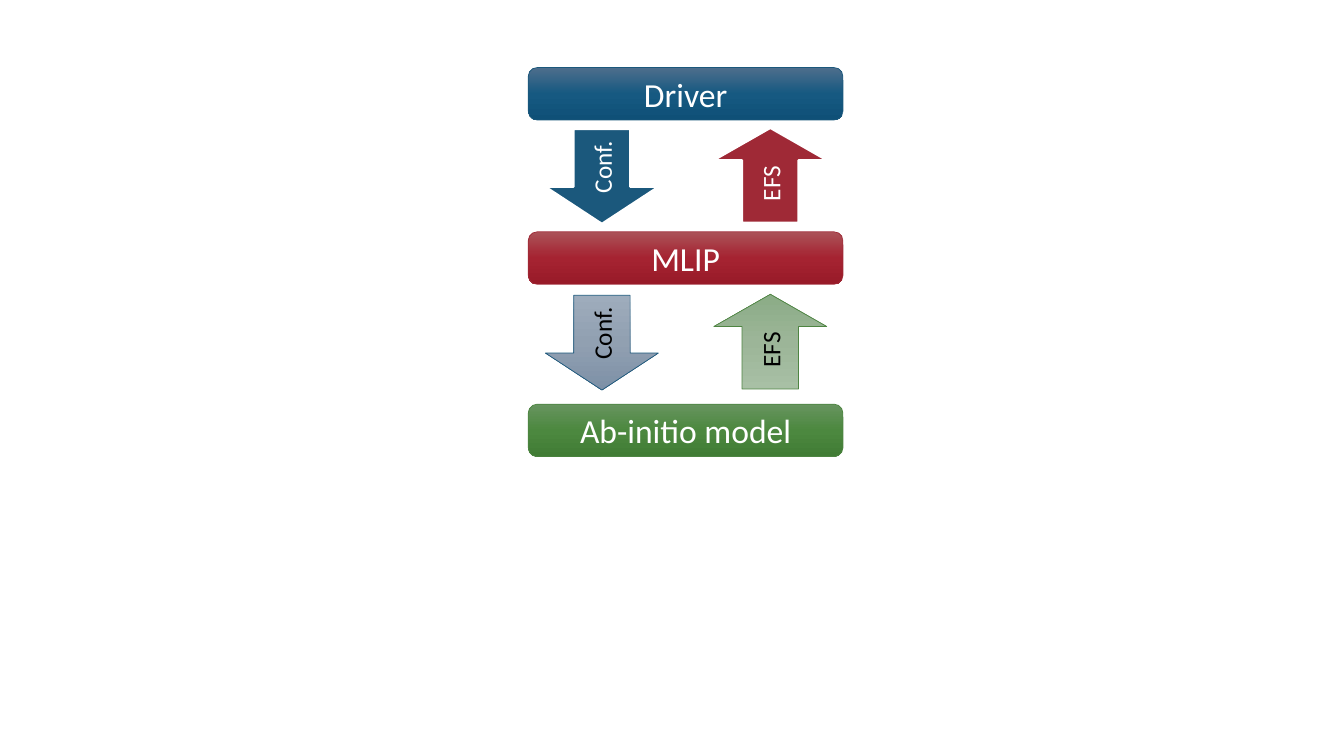
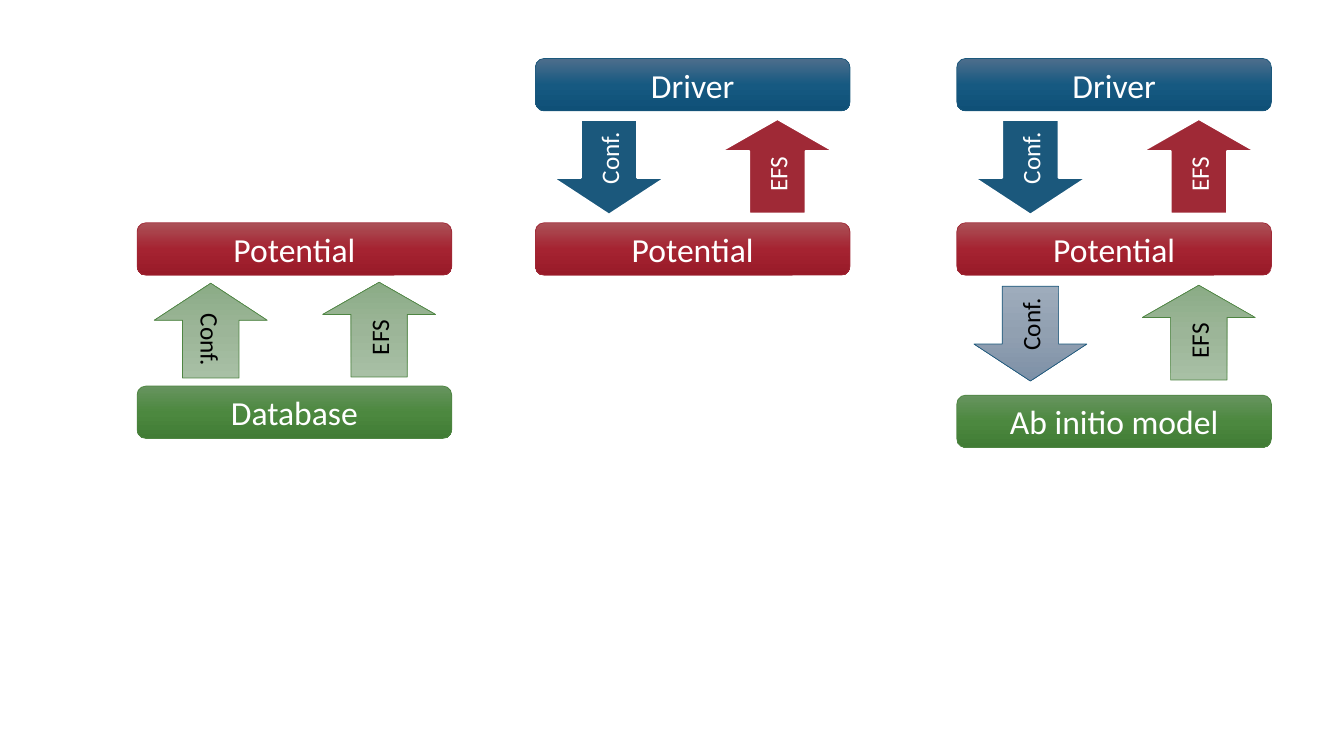
from copy import deepcopy

from pptx import Presentation
from pptx.dml.color import RGBColor
from pptx.enum.shapes import MSO_SHAPE
from pptx.enum.text import MSO_ANCHOR, PP_ALIGN
from pptx.util import Inches, Pt

FONT = "Calibri"
WHITE, BLACK = "FFFFFF", "000000"
BLUE, RED, GREEN = "1B587C", "9F2936", "4E8542"
BARS = {
    BLUE: ("4E6E8C", "165981", "0F5077"),
    RED: ("AB5258", "A52331", "981A28"),
    GREEN: ("67945F", "4C883F", "417C35"),
}
TINTS = {
    BLUE: ("9EACBC", "91A0B1", "7D90A7"),
    GREEN: ("A8C0A5", "9CB598", "8BAC86"),
}
BAR_W, BAR_H = 3.12, 0.52
ARROW_W, ARROW_H = 1.12, 0.94
CONF_X, EFS_X = 0.17, 1.84
RISE = 1.63


def color(code):
    """Turn a hex string into a colour."""
    return RGBColor.from_string(code)


def shade(fill, codes):
    """Fill from top to bottom with three evenly spaced colours."""
    fill.gradient()
    fill.gradient_angle = 270
    first = fill.gradient_stops[0]._gs
    first.addnext(deepcopy(first))
    for i, (stop, code) in enumerate(zip(fill.gradient_stops, codes)):
        stop.position = i / 2
        stop.color.rgb = color(code)


def block(slide, kind, box, text, size, ink, paint, edge, width):
    """Draw a shape with one centred line of text."""
    shape = slide.shapes.add_shape(kind, *map(Inches, box))
    shape.shadow.inherit = False
    if isinstance(paint, str):
        shape.fill.solid()
        shape.fill.fore_color.rgb = color(paint)
    else:
        shade(shape.fill, paint)
    shape.line.color.rgb = color(edge)
    shape.line.width = Pt(width)
    frame = shape.text_frame
    frame.vertical_anchor = MSO_ANCHOR.MIDDLE
    para = frame.paragraphs[0]
    para.text = text
    para.alignment = PP_ALIGN.CENTER
    para.font.name = FONT
    para.font.size = Pt(size)
    para.font.color.rgb = color(ink)
    return shape


def bar(slide, x, y, text, hue):
    """Draw a rounded bar naming one part."""
    block(slide, MSO_SHAPE.ROUNDED_RECTANGLE, (x, y, BAR_W, BAR_H),
          text, 24, WHITE, BARS[hue], hue, 0.5)


def arrow(slide, x, y, text, hue, strong, up):
    """Draw a block arrow with sideways text."""
    look = (WHITE, hue, WHITE, 1.5) if strong else (BLACK, TINTS[hue], hue, 0.5)
    shape = block(slide, MSO_SHAPE.DOWN_ARROW, (x, y, ARROW_W, ARROW_H),
                  text, 18, *look)
    conf = text == "Conf."
    shape.adjustments[1] = 0.39 if conf else 0.34
    shape.rotation = 180 if up else 0
    shape.text_frame._txBody.bodyPr.set("vert", "vert270" if conf else "vert")


def pair(slide, x, y, left, right, strong=False, up=False):
    """Draw the Conf. and EFS arrows between two bars."""
    arrow(slide, x + CONF_X, y, "Conf.", left, strong, up)
    arrow(slide, x + EFS_X, y - 0.01, "EFS", right, strong, True)


def upper(slide, x, y, text):
    """Draw the driver above the middle bar."""
    bar(slide, x, y, text, RED)
    bar(slide, x, y - RISE, "Driver", BLUE)
    pair(slide, x, y - 1.02, BLUE, RED, strong=True)


def full(slide, x, y, text, base):
    """Draw the driver, the middle bar and the model."""
    upper(slide, x, y, text)
    bar(slide, x, y + 1.71, base, GREEN)
    pair(slide, x, y + 0.63, BLUE, GREEN)


def fit(slide, x, y):
    """Draw the database feeding the potential."""
    bar(slide, x, y, "Potential", RED)
    pair(slide, x, y + 0.6, GREEN, GREEN, up=True)
    bar(slide, x, y + 1.62, "Database", GREEN)


def main():
    """Build both slides and save them."""
    deck = Presentation()
    deck.slide_width, deck.slide_height = Inches(13.33), Inches(7.5)
    blank = deck.slide_layouts[6]

    single = deck.slides.add_slide(blank)
    full(single, 5.24, 2.3, "MLIP", "Ab-initio model")

    modes = deck.slides.add_slide(blank)
    full(modes, 9.49, 2.21, "Potential", "Ab initio model")
    upper(modes, 5.31, 2.21, "Potential")
    fit(modes, 1.36, 2.21)

    deck.save("out.pptx")


if __name__ == "__main__":
    main()
